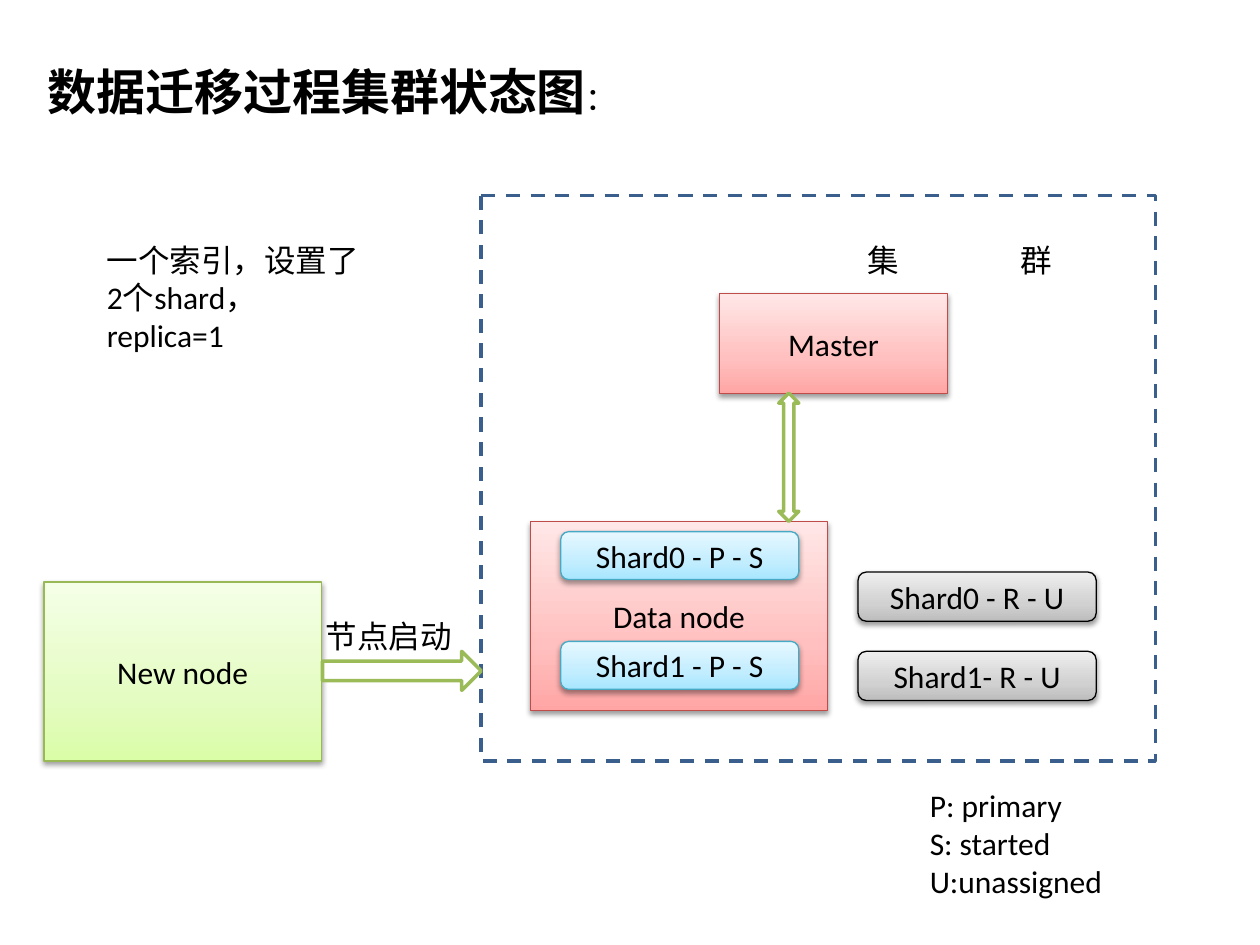
from dataclasses import dataclass

from lxml.etree import SubElement
from pptx import Presentation
from pptx.dml.color import RGBColor as RGB
from pptx.enum.dml import MSO_LINE_DASH_STYLE as Dash
from pptx.enum.shapes import MSO_SHAPE as Geo
from pptx.enum.text import MSO_ANCHOR as Anchor, MSO_AUTO_SIZE as Auto, PP_ALIGN as Align
from pptx.oxml.ns import qn
from pptx.util import Pt

FONT = "Calibri"
COLORS = {
    "text": "000000",
    "white": "FFFFFF",
    "cluster": "3A5F8C",
    "arrow": "9BBB59",
}
# Theme: border colour, then gradient colours from bottom to top
THEMES = {
    "red": ("BF4C48", "FFA6A5", "FFC0BF", "FFE7E7"),
    "green": ("98B955", "DAFDA7", "E4FCC2", "F5FFE7"),
    "blue": ("46AAC5", "A7E6FF", "C1EDFF", "E7F8FF"),
    "gray": ("000000", "BDBDBD", "D1D1D1", "EEEEEE"),
}
STOPS = (0, 35, 100)


@dataclass
class Node:
    text: str
    theme: str
    x: float
    y: float
    w: float
    h: float
    geo: Geo = Geo.FLOWCHART_PROCESS


@dataclass
class Label:
    text: str
    x: float
    y: float
    w: float
    h: float


@dataclass
class BlockArrow:
    geo: Geo
    x: float
    y: float
    w: float
    h: float


def shard(text: str, theme: str, x: float, y: float, h: float) -> Node:
    return Node(text, theme, x, y, 136.1, h, Geo.FLOWCHART_ALTERNATE_PROCESS)


NODES = [
    Node("Data node", "red", 303.1, 298.1, 169.9, 108),
    Node("New node", "green", 25.2, 332.6, 158.4, 102.2),
    Node("Master", "red", 411.1, 167.8, 130.3, 56.9),
    shard("Shard0 - P - S", "blue", 320.4, 303.8, 27.4),
    shard("Shard1 - P - S", "blue", 320.4, 366.5, 27.4),
    shard("Shard0 - R - U", "gray", 490.3, 326.9, 28.1),
    shard("Shard1- R - U", "gray", 490.3, 372.2, 28.1),
]
ARROWS = [
    BlockArrow(Geo.RIGHT_ARROW, 184.3, 372.2, 90.7, 22.3),
    BlockArrow(Geo.UP_DOWN_ARROW, 445, 224.6, 11.5, 73.4),
]
TITLE = Label("数据迁移过程集群状态图", 20.2, 31.7, 686.2, 41)
CLUSTER_NAME = Label("集\t群", 488.8, 133.9, 165, 29)
LABELS = [
    Label("节点启动", 179, 349.2, 108, 29),
    Label("P: primary\nS: started\nU:unassigned", 524.2, 445.7, 190, 72.7),
    Label("一个索引，设置了2个shard，replica=1", 54, 133.9, 158.4, 72.7),
]


def style_run(r, size: float = 18, bold: bool = False) -> None:
    r.font.name = FONT
    r.font.size = Pt(size)
    r.font.bold = bold
    r.font.color.rgb = RGB.from_string(COLORS["text"])


def add_box(s, geo: Geo, x: float, y: float, w: float, h: float,
            line: str, width: float):
    sp = s.shapes.add_shape(geo, Pt(x), Pt(y), Pt(w), Pt(h))
    sp.shadow.inherit = False
    sp.line.color.rgb = RGB.from_string(line)
    sp.line.width = Pt(width)
    return sp


def set_gradient(sp, colors: tuple[str, ...]) -> None:
    """Three-stop gradient running upwards."""
    sp.fill.gradient()
    sp.fill.gradient_angle = 90
    gs_lst = sp._element.spPr.find(qn("a:gradFill")).find(qn("a:gsLst"))
    for gs in list(gs_lst):
        gs_lst.remove(gs)
    for pos, color in zip(STOPS, colors):
        gs = SubElement(gs_lst, qn("a:gs"), pos=str(pos * 1000))
        SubElement(gs, qn("a:srgbClr"), val=color)


def set_shadow(sp) -> None:
    """Soft shadow straight below the shape."""
    effects = sp._element.spPr.find(qn("a:effectLst"))
    shadow = SubElement(effects, qn("a:outerShdw"), blurRad=str(Pt(3.1)),
                        dist=str(Pt(1.6)), dir="5400000", rotWithShape="0")
    color = SubElement(shadow, qn("a:srgbClr"), val="000000")
    SubElement(color, qn("a:alpha"), val="38000")


def add_node(s, node: Node) -> None:
    line, *gradient = THEMES[node.theme]
    sp = add_box(s, node.geo, node.x, node.y, node.w, node.h, line, 0.75)
    set_gradient(sp, tuple(gradient))
    set_shadow(sp)
    tf = sp.text_frame
    tf.text = node.text
    tf.vertical_anchor = Anchor.MIDDLE
    p = tf.paragraphs[0]
    p.alignment = Align.CENTER
    style_run(p.runs[0])


def add_arrow(s, arrow: BlockArrow) -> None:
    sp = add_box(s, arrow.geo, arrow.x, arrow.y, arrow.w, arrow.h, COLORS["arrow"], 2)
    sp.fill.solid()
    sp.fill.fore_color.rgb = RGB.from_string(COLORS["white"])


def add_label(s, label: Label, size: float = 18, bold: bool = False):
    sp = s.shapes.add_textbox(Pt(label.x), Pt(label.y), Pt(label.w), Pt(label.h))
    tf = sp.text_frame
    tf.word_wrap = True
    tf.auto_size = Auto.SHAPE_TO_FIT_TEXT
    tf.text = label.text
    for p in tf.paragraphs:
        for r in p.runs:
            style_run(r, size, bold)
    return tf.paragraphs[0]


def main() -> None:
    prs = Presentation()
    prs.slide_width, prs.slide_height = Pt(720), Pt(540)
    s = prs.slides.add_slide(prs.slide_layouts[6])

    # Cluster frame
    frame = add_box(s, Geo.FLOWCHART_PROCESS, 275, 111.6, 385.2, 323.3,
                    COLORS["cluster"], 2)
    frame.fill.background()
    frame.line.dash_style = Dash.DASH

    # Title with a lighter colon
    p = add_label(s, TITLE, 28, True)
    r = p.add_run()
    r.text = "："
    style_run(r)

    # Nodes, shards and arrows
    for node in NODES:
        add_node(s, node)
    for arrow in ARROWS:
        add_arrow(s, arrow)

    # Cluster name, spread with a tab stop
    p = add_label(s, CLUSTER_NAME)
    tabs = SubElement(p._p.get_or_add_pPr(), qn("a:tabLst"))
    SubElement(tabs, qn("a:tab"), pos=str(Pt(87)), algn="l")

    # Notes and legend
    for label in LABELS:
        add_label(s, label)

    prs.save("out.pptx")


if __name__ == "__main__":
    main()
